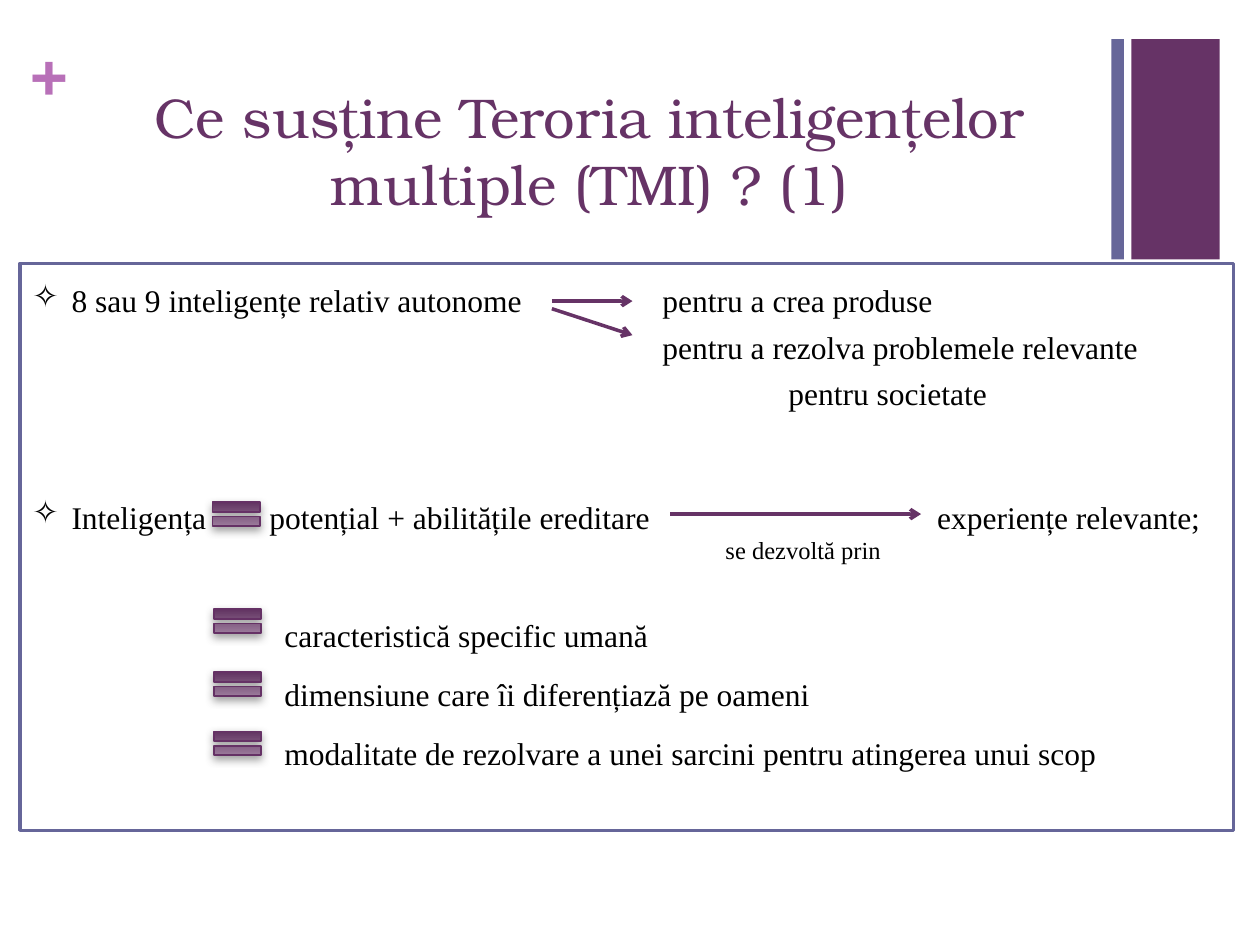
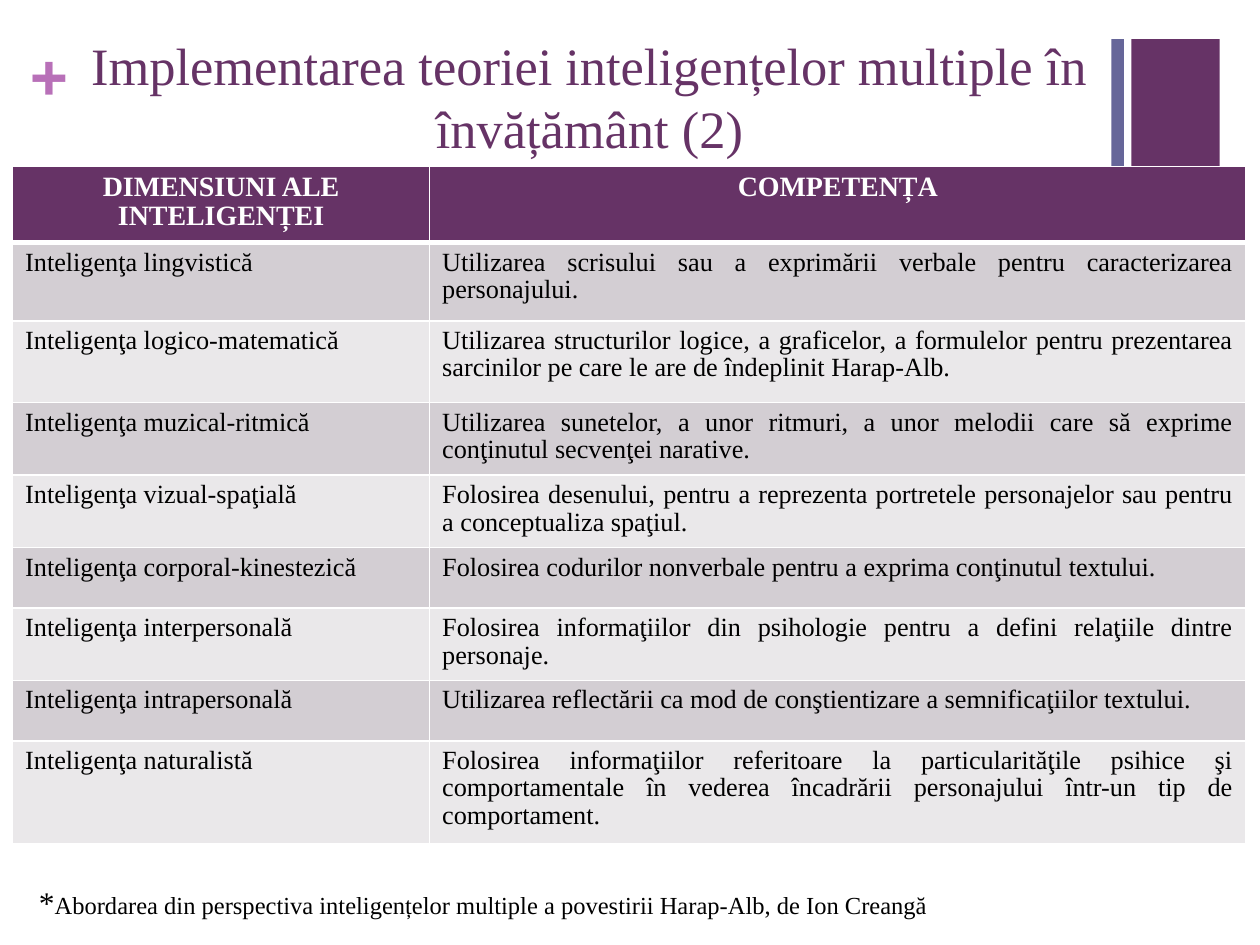
"""Builds two slides on the theory of multiple intelligences."""
from dataclasses import dataclass

from lxml import etree
from pptx import Presentation
from pptx import util as u
from pptx.dml.color import RGBColor
from pptx.enum import shapes, text
from pptx.oxml import parse_xml
from pptx.oxml.ns import nsdecls, qn


@dataclass(frozen=True)
class Theme:
    plum: RGBColor = RGBColor.from_string("663366")
    slate: RGBColor = RGBColor.from_string("666699")
    orchid: RGBColor = RGBColor.from_string("B870B8")
    white: RGBColor = RGBColor.from_string("FFFFFF")
    black: RGBColor = RGBColor.from_string("000000")
    sign_edge: RGBColor = RGBColor.from_string("653165")
    sign_top: RGBColor = RGBColor.from_string("4D1A4D")
    sign_bottom: RGBColor = RGBColor.from_string("AF94AF")
    row_bands: tuple = (RGBColor.from_string("D3CED3"), RGBColor.from_string("EAE8EA"))
    display: str = "TeX Gyre Bonum"
    serif: str = "Times New Roman"
    plus: int = 36
    body: int = 18
    note: int = 14
    header: int = 16
    cell: int = 15


theme = Theme()


def style_runs(paragraph, size, color, face=theme.serif, bold=False):
    for run in paragraph.runs:
        run.font.size = u.Pt(size)
        run.font.name = face
        run.font.bold = bold
        run.font.color.rgb = color


def add_block(slide, kind, box, fill):
    block = slide.shapes.add_shape(kind, *map(u.Inches, box))
    block.shadow.inherit = False
    block.fill.solid()
    block.fill.fore_color.rgb = fill
    block.line.fill.background()
    return block


deck = Presentation()
deck.slide_width, deck.slide_height = u.Inches(10), u.Inches(7.5)

headings = [
    ("Ce susține Teroria inteligențelor multiple (TMI) ? (1)", 0.53, 1.32, 32, theme.display),
    ("Implementarea teoriei inteligențelor multiple în învățământ (2)", 0.2, 1.12, 30, theme.serif),
]
for heading, top, height, size, face in headings:
    slide = deck.slides.add_slide(deck.slide_layouts[5])
    for left, width, color in [(8.98, 0.7, theme.plum), (8.82, 0.1, theme.slate)]:
        add_block(slide, shapes.MSO_SHAPE.RECTANGLE, (left, 0.31, width, 1.75), color)
    plus = slide.shapes.add_textbox(*map(u.Inches, (0.24, 0.25, 0.29, 0.61))).text_frame
    plus.margin_left = plus.margin_right = plus.margin_top = plus.margin_bottom = 0
    plus.text = "+"
    style_runs(plus.paragraphs[0], theme.plus, theme.orchid, theme.display, True)

    title = slide.shapes.title
    title.left, title.top, title.width, title.height = map(u.Inches, (0.55, top, 8.26, height))
    title.text_frame.text = heading
    title.text_frame.word_wrap = True
    title.text_frame.auto_size = text.MSO_AUTO_SIZE.NONE
    title.text_frame.vertical_anchor = text.MSO_ANCHOR.MIDDLE
    title.text_frame.paragraphs[0].alignment = text.PP_ALIGN.CENTER
    style_runs(title.text_frame.paragraphs[0], size, theme.plum, face)

theory, practice = deck.slides

panel = add_block(theory, shapes.MSO_SHAPE.RECTANGLE, (0.16, 2.09, 9.63, 4.5), theme.white)
panel.line.color.rgb = theme.slate
panel.line.width = u.Pt(2)
statements = panel.text_frame
statements.word_wrap = True
statements.vertical_anchor = text.MSO_ANCHOR.TOP
statements.margin_top = u.Inches(0.14)

lines = [
    ("8 sau 9 inteligențe relativ autonome\tpentru a crea produse", 0, theme.body, True, [5]),
    ("\tpentru a rezolva problemele relevante", 5, theme.body, False, [5]),
    ("\tpentru societate", 5, theme.body, False, [6]),
    ("Inteligența\tpotențial + abilitățile ereditare\texperiențe relevante;", 49, theme.body, True,
     [1.88, 7.18]),
    ("\tse dezvoltă prin", 0, theme.note, False, [5.5]),
    ("\tcaracteristică specific umană", 29.5, theme.body, False, [2]),
    ("\tdimensiune care îi diferențiază pe oameni", 12, theme.body, False, [2]),
    ("\tmodalitate de rezolvare a unei sarcini pentru atingerea unui scop", 12, theme.body, False, [2]),
]
for index, (wording, gap, size, bulleted, stops) in enumerate(lines):
    statement = statements.add_paragraph() if index else statements.paragraphs[0]
    statement.text = wording
    statement.alignment = text.PP_ALIGN.JUSTIFY
    statement.line_spacing = 1.0
    statement.space_before = u.Pt(gap)
    style_runs(statement, size, theme.black)
    properties = statement._p.get_or_add_pPr()
    if bulleted:
        properties.set("marL", str(u.Inches(0.31)))
        properties.set("indent", str(-u.Inches(0.31)))
        etree.SubElement(properties, qn("a:buChar"), char="✧")
    tabs = etree.SubElement(properties, qn("a:tabLst"))
    for stop in stops:
        etree.SubElement(tabs, qn("a:tab"), pos=str(u.Inches(stop)), algn="l")

for start_x, start_y, end_x, end_y in [
    (4.38, 2.39, 5.02, 2.39), (4.38, 2.45, 5.02, 2.66), (5.32, 4.08, 7.31, 4.08),
]:
    arrow = theory.shapes.add_connector(
        shapes.MSO_CONNECTOR.STRAIGHT, *map(u.Inches, (start_x, start_y, end_x, end_y)))
    arrow.line.color.rgb = theme.plum
    arrow.line.width = u.Pt(2)
    etree.SubElement(arrow.line._get_or_add_ln(), qn("a:tailEnd"), type="arrow")
    etree.SubElement(arrow._element.spPr, qn("a:effectLst"))

for left, top in [(1.62, 3.92), (1.63, 4.77), (1.63, 5.27), (1.63, 5.74)]:
    equals = add_block(theory, shapes.MSO_SHAPE.MATH_EQUAL, (left, top, 0.51, 0.32), theme.plum)
    equals.fill.gradient()
    equals.fill.gradient_angle = 270
    for stop, color in zip(equals.fill.gradient_stops, (theme.sign_top, theme.sign_bottom)):
        stop.color.rgb = color
    for stop, position in zip(equals.fill.gradient_stops, (0, 1)):
        stop.position = position
    equals.line.color.rgb = theme.sign_edge
    equals.line.width = u.Pt(1)
    equals._element.spPr.find(qn("a:effectLst")).append(parse_xml(
        f'<a:outerShdw {nsdecls("a")} blurRad="{u.Pt(5)}" dist="{u.Pt(2)}" dir="5400000" rotWithShape="0">'
        '<a:srgbClr val="808080"><a:alpha val="75000"/></a:srgbClr></a:outerShdw>'))

competences = [
    ("DIMENSIUNI ALE INTELIGENȚEI", "COMPETENȚA", 0.58),
    ("Inteligenţa lingvistică",
     "Utilizarea scrisului sau a exprimării verbale pentru caracterizarea personajului.", 0.62),
    ("Inteligenţa logico-matematică",
     "Utilizarea structurilor logice, a graficelor, a formulelor pentru prezentarea sarcinilor "
     "pe care le are de îndeplinit Harap-Alb.", 0.65),
    ("Inteligenţa muzical-ritmică",
     "Utilizarea sunetelor, a unor ritmuri, a unor melodii care să exprime conţinutul "
     "secvenţei narative.", 0.56),
    ("Inteligenţa vizual-spaţială",
     "Folosirea desenului, pentru a reprezenta portretele personajelor sau pentru a "
     "conceptualiza spaţiul.", 0.56),
    ("Inteligenţa corporal-kinestezică",
     "Folosirea codurilor nonverbale pentru a exprima conţinutul textului.", 0.48),
    ("Inteligenţa interpersonală",
     "Folosirea informaţiilor din psihologie pentru a defini relaţiile dintre personaje.", 0.56),
    ("Inteligenţa intrapersonală",
     "Utilizarea reflectării ca mod de conştientizare a semnificaţiilor textului.", 0.48),
    ("Inteligenţa naturalistă",
     "Folosirea informaţiilor referitoare la particularităţile psihice şi comportamentale în "
     "vederea încadrării personajului într-un tip de comportament.", 0.78),
]
total_height = sum(height for *_, height in competences)
grid = practice.shapes.add_table(
    len(competences), 2, *map(u.Inches, (0.1, 1.32, 9.79, total_height))).table
for column, width in zip(grid.columns, (3.31, 6.48)):
    column.width = u.Inches(width)
for row, (*wordings, height) in enumerate(competences):
    grid.rows[row].height = u.Inches(height)
    is_header = row == 0
    for column, wording in enumerate(wordings):
        cell = grid.cell(row, column)
        cell.text_frame.text = wording
        entry = cell.text_frame.paragraphs[0]
        entry.line_spacing = 0.95
        if is_header:
            entry.alignment = text.PP_ALIGN.CENTER
            style_runs(entry, theme.header, theme.white, bold=True)
        else:
            entry.alignment = text.PP_ALIGN.JUSTIFY if column else text.PP_ALIGN.LEFT
            style_runs(entry, theme.cell, theme.black)
        for side in "LRTB":
            thick = (is_header and side == "B") or (row == 1 and side == "T")
            border = etree.SubElement(
                cell._tc.get_or_add_tcPr(), qn(f"a:ln{side}"), w=str(u.Pt(3 if thick else 1)))
            paint = etree.SubElement(border, qn("a:solidFill"))
            etree.SubElement(paint, qn("a:srgbClr"), val=str(theme.white))
        cell.fill.solid()
        cell.fill.fore_color.rgb = theme.plum if is_header else theme.row_bands[(row - 1) % 2]

footnote = practice.shapes.add_textbox(*map(u.Inches, (0.21, 6.96, 7.31, 0.4))).text_frame
footnote.word_wrap = False
remark = footnote.paragraphs[0]
for wording in ("*", "Abordarea din perspectiva inteligențelor multiple a povestirii Harap-Alb, de Ion Creangă"):
    remark.add_run().text = wording
style_runs(remark, theme.note, theme.black)
remark.runs[0].font.size = u.Pt(theme.body)

deck.save("out.pptx")
